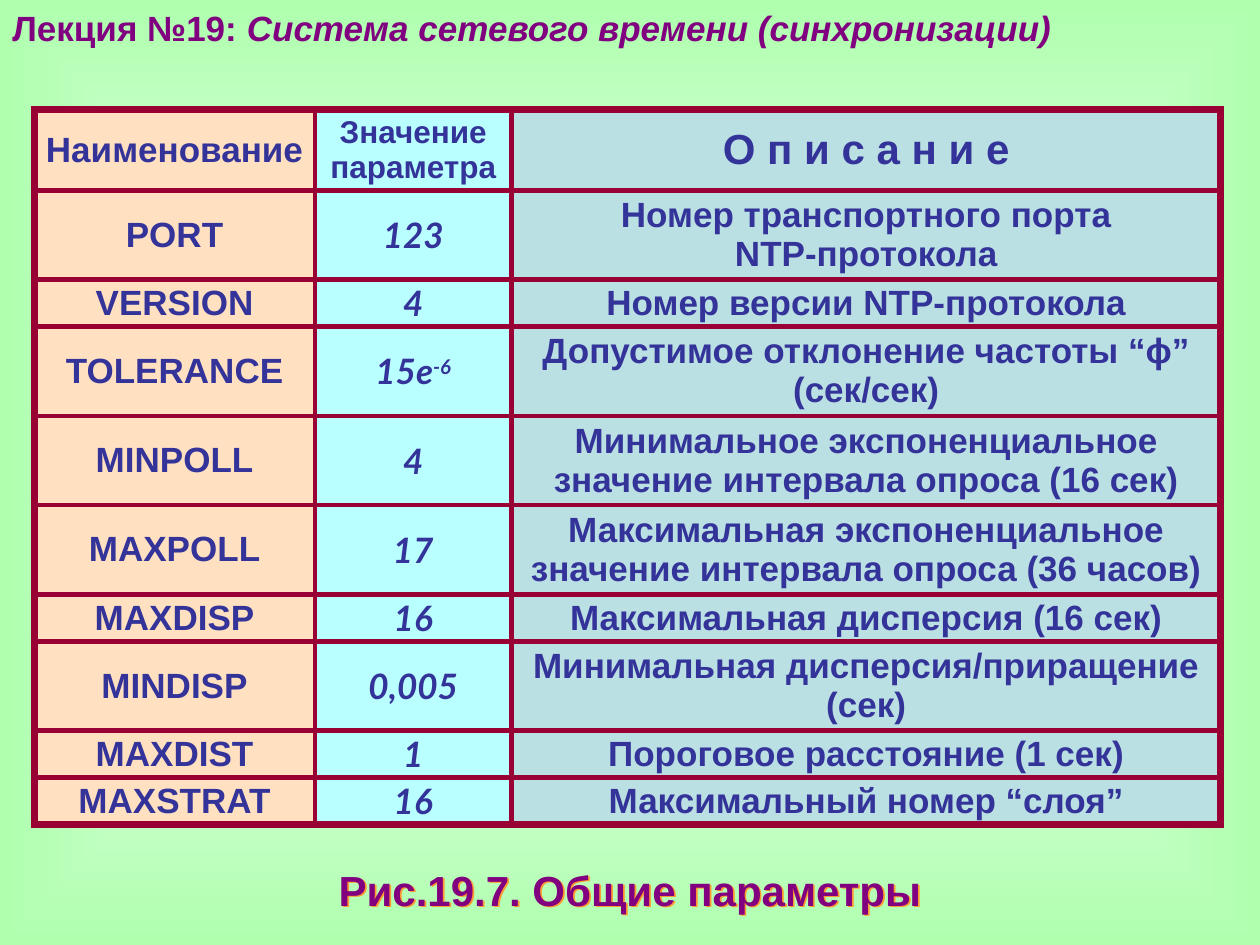
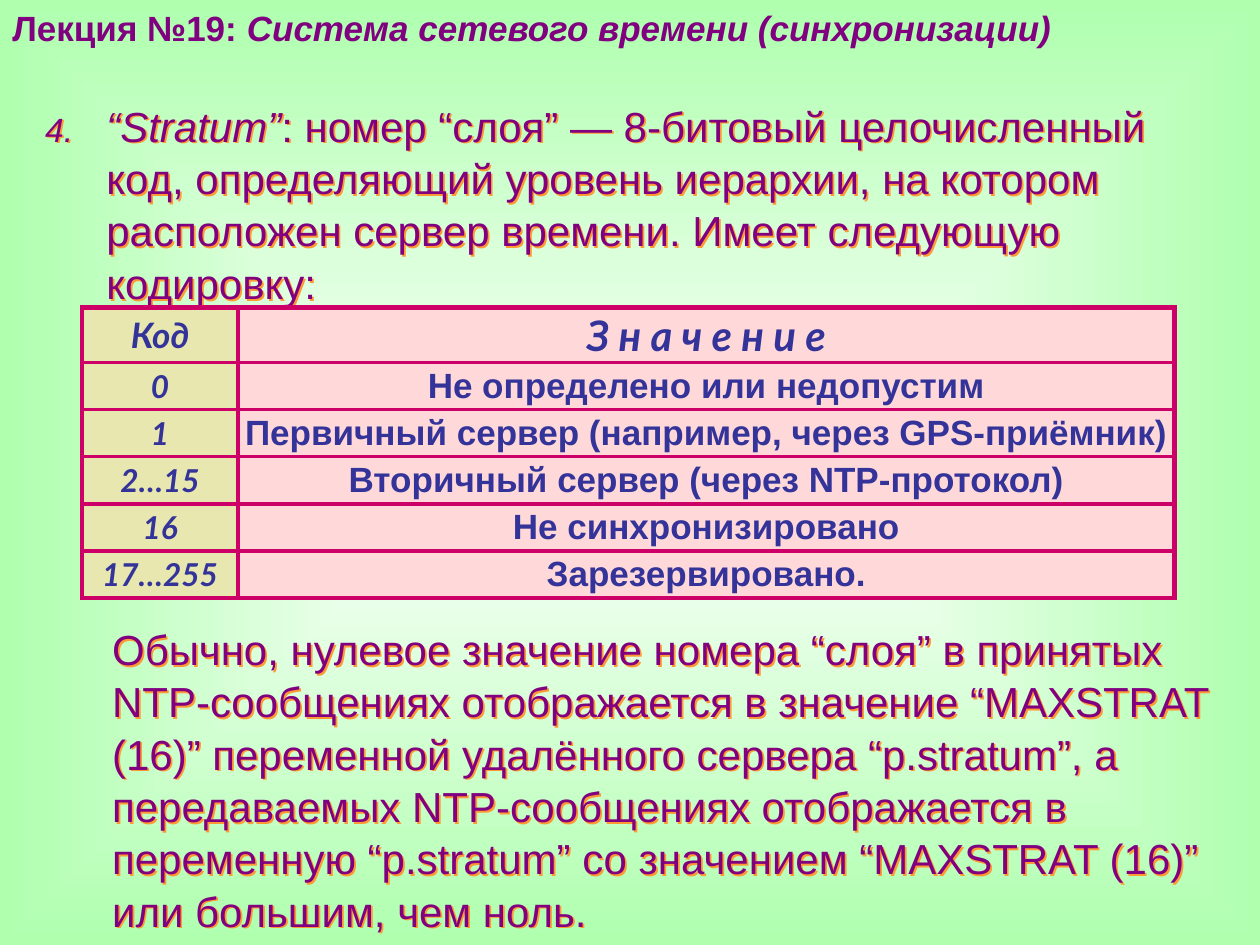
from pptx import Presentation
from pptx.dml.color import RGBColor
from pptx.enum.text import MSO_ANCHOR, PP_ALIGN
from pptx.oxml import parse_xml
from pptx.util import Pt

SLIDE_WIDTH, SLIDE_HEIGHT = 720, 540
NAMESPACES = (
    'xmlns:a="http://schemas.openxmlformats.org/drawingml/2006/main" '
    'xmlns:p="http://schemas.openxmlformats.org/presentationml/2006/main"'
)
PURPLE, INDIGO, ORANGE = "800080", "333399", "FF9933"
BODY_FONT, VALUE_FONT = "Arial", "Lato"
CELL_INSET = 1.44


def color(value):
    return RGBColor.from_string(value)


def write_text(paragraph, text, size=20, font=BODY_FONT, fill=PURPLE,
               bold=False, italic=False, superscript=False):
    run = paragraph.add_run()
    run.text = text
    run.font.size = Pt(size)
    run.font.name = font
    run.font.color.rgb = color(fill)
    run.font.bold = bold
    run.font.italic = italic
    if superscript:
        run._r.get_or_add_rPr().set("baseline", "30000")


def set_background(slide):
    background = parse_xml(
        f'<p:bg {NAMESPACES}><p:bgPr><a:gradFill rotWithShape="0"><a:gsLst>'
        '<a:gs pos="0"><a:srgbClr val="FFFFFF"/></a:gs>'
        '<a:gs pos="100000"><a:srgbClr val="AFFFAF"/></a:gs></a:gsLst>'
        '<a:path path="shape"><a:fillToRect l="50000" t="50000" r="50000" b="50000"/></a:path>'
        '</a:gradFill><a:effectLst/></p:bgPr></p:bg>'
    )
    slide.element.cSld.insert(0, background)


def add_text_box(slide, box, shadow=False):
    """Add a wrapping text box and return its shape and first paragraph."""
    shape = slide.shapes.add_textbox(*map(Pt, box))
    shape.text_frame.word_wrap = True
    if shadow:
        shape.fill.background()
        shape.element.spPr.append(parse_xml(
            f'<a:effectLst {NAMESPACES}><a:outerShdw dist="18000" dir="2700000" algn="ctr" '
            f'rotWithShape="0"><a:srgbClr val="{ORANGE}"/></a:outerShdw></a:effectLst>'
        ))
    return shape, shape.text_frame.paragraphs[0]


def add_lecture_slide(presentation):
    slide = presentation.slides.add_slide(presentation.slide_layouts[6])
    set_background(slide)
    _, paragraph = add_text_box(slide, (0, 0, SLIDE_WIDTH, 31))
    write_text(paragraph, "Лекция №19: ", bold=True)
    write_text(paragraph, "Система сетевого времени (синхронизации)", bold=True, italic=True)
    return slide


def set_borders(cell, line_color, widths):
    """Draw the left, right, top and bottom cell edges, in that order."""
    properties = cell._tc.get_or_add_tcPr()
    for side, width in zip("LRTB", widths):
        properties.append(parse_xml(
            f'<a:ln{side} {NAMESPACES} w="{Pt(width)}"><a:solidFill>'
            f'<a:srgbClr val="{line_color}"/></a:solidFill></a:ln{side}>'
        ))


def fill_cell(cell, text, fill, **text_format):
    """Write one paragraph per line; a part after ^ is raised."""
    cell.fill.solid()
    cell.fill.fore_color.rgb = color(fill)
    cell.vertical_anchor = MSO_ANCHOR.MIDDLE
    cell.margin_left = cell.margin_right = Pt(CELL_INSET)
    cell.margin_top = cell.margin_bottom = Pt(CELL_INSET)
    for index, line in enumerate(text.split("\n")):
        frame = cell.text_frame
        paragraph = frame.add_paragraph() if index else frame.paragraphs[0]
        paragraph.alignment = PP_ALIGN.CENTER
        base, _, exponent = line.partition("^")
        write_text(paragraph, base, fill=INDIGO, bold=True, **text_format)
        if exponent:
            write_text(paragraph, exponent, fill=INDIGO, bold=True,
                       superscript=True, **text_format)


def add_grid(slide, left, top, column_widths, row_heights, rows, fills,
             header_formats, column_formats, line_color, inner, outer):
    row_count, column_count = len(rows), len(column_widths)
    frame = slide.shapes.add_table(
        row_count, column_count, Pt(left), Pt(top),
        Pt(sum(column_widths)), Pt(sum(row_heights)))
    table = frame.table
    table.first_row = table.horz_banding = False
    for column, width in zip(table.columns, column_widths):
        column.width = Pt(width)
    for r, (height, texts) in enumerate(zip(row_heights, rows)):
        table.rows[r].height = Pt(height)
        formats = column_formats if r else header_formats
        for c, text in enumerate(texts):
            cell = table.cell(r, c)
            on_edge = (c == 0, c == column_count - 1, r == 0, r == row_count - 1)
            set_borders(cell, line_color, [outer if edge else inner for edge in on_edge])
            fill_cell(cell, text, fills[c], **formats[c])


def add_caption(slide, text, box):
    shape, paragraph = add_text_box(slide, box, shadow=True)
    frame = shape.text_frame
    frame.margin_left = frame.margin_right = frame.margin_top = frame.margin_bottom = 0
    frame.vertical_anchor = MSO_ANCHOR.MIDDLE
    paragraph.alignment = PP_ALIGN.CENTER
    paragraph.line_spacing = 0.9
    write_text(paragraph, text, size=24, bold=True)


def add_body(slide, box, parts, number=None):
    """Add running text from (text, italic) parts, numbered if asked."""
    _, paragraph = add_text_box(slide, box, shadow=True)
    paragraph.line_spacing = 1.04
    if number:
        properties = paragraph._p.get_or_add_pPr()
        properties.set("marL", str(Pt(35)))
        properties.set("indent", str(Pt(-35)))
        properties.append(parse_xml(f'<a:buSzPct {NAMESPACES} val="80000"/>'))
        properties.append(parse_xml(
            f'<a:buAutoNum {NAMESPACES} type="arabicPeriod" startAt="{number}"/>'))
    for text, italic in parts:
        write_text(paragraph, text, size=24, italic=italic)


def build_parameters_slide(presentation):
    slide = add_lecture_slide(presentation)
    rows = [
        ("Наименование", "Значение параметра", "О п и с а н и е"),
        ("PORT", "123", "Номер транспортного порта\nNTP-протокола"),
        ("VERSION", "4", "Номер версии NTP-протокола"),
        ("TOLERANCE", "15e^-6", "Допустимое отклонение частоты “ϕ” (сек/сек)"),
        ("MINPOLL", "4", "Минимальное экспоненциальное значение интервала опроса (16 сек)"),
        ("MAXPOLL", "17", "Максимальная экспоненциальное значение интервала опроса (36 часов)"),
        ("MAXDISP", "16", "Максимальная дисперсия (16 сек)"),
        ("MINDISP", "0,005", "Минимальная дисперсия/приращение (сек)"),
        ("MAXDIST", "1", "Пороговое расстояние (1 сек)"),
        ("MAXSTRAT", "16", "Максимальный номер “слоя”"),
    ]
    # Long descriptions take two lines
    row_heights = [45] + [51 if len(row[2]) > 32 else 26.8 for row in rows[1:]]
    add_grid(
        slide, 19.5, 62.7, (160.5, 112.3, 405.4), row_heights, rows,
        fills=("FFE0C1", "B9FFFF", "BBE0E3"),
        header_formats=({}, {"size": 18}, {"size": 24}),
        column_formats=({}, {"font": VALUE_FONT, "italic": True}, {}),
        line_color="990033", inner=3, outer=4.5)
    add_caption(slide, "Рис.19.7. Общие параметры", (0, 497, SLIDE_WIDTH, 26))


def build_stratum_slide(presentation):
    slide = add_lecture_slide(presentation)
    # Numbered definition
    add_body(slide, (18.7, 52.6, 677.5, 122.4), [
        ("“Stratum”", True),
        (": номер “слоя” — 8-битовый целочисленный код, определяющий уровень иерархии, "
         "на котором расположен сервер времени. Имеет следующую кодировку:", False),
    ], number=4)
    # Table of codes
    rows = [
        ("Код", "З н а ч е н и е"),
        ("0", "Не определено или недопустим"),
        ("1", "Первичный сервер (например, через GPS-приёмник)"),
        ("2…15", "Вторичный сервер (через NTP-протокол)"),
        ("16", "Не синхронизировано"),
        ("17…255", "Зарезервировано."),
    ]
    value_format = {"font": VALUE_FONT, "italic": True}
    add_grid(
        slide, 46.8, 175.6, (89.3, 535), [31.6] + [26.8] * 5, rows,
        fills=("E7E7AF", "FFD9D9"),
        header_formats=(value_format, {**value_format, "size": 24}),
        column_formats=({**value_format, "size": 18}, {}),
        line_color="CC0066", inner=2.25, outer=3)
    # Closing remark
    add_body(slide, (57, 351.5, 643, 180), [
        ("Обычно, нулевое значение номера “слоя” в принятых NTP-сообщениях отображается "
         "в значение “MAXSTRAT (16)” переменной удалённого сервера “p.stratum”, "
         "а передаваемых NTP-сообщениях отображается в переменную “p.stratum” "
         "со значением “MAXSTRAT (16)” или большим, чем ноль.", False),
    ])


def main():
    presentation = Presentation()
    presentation.slide_width = Pt(SLIDE_WIDTH)
    presentation.slide_height = Pt(SLIDE_HEIGHT)
    build_parameters_slide(presentation)
    build_stratum_slide(presentation)
    presentation.save("out.pptx")


if __name__ == "__main__":
    main()
